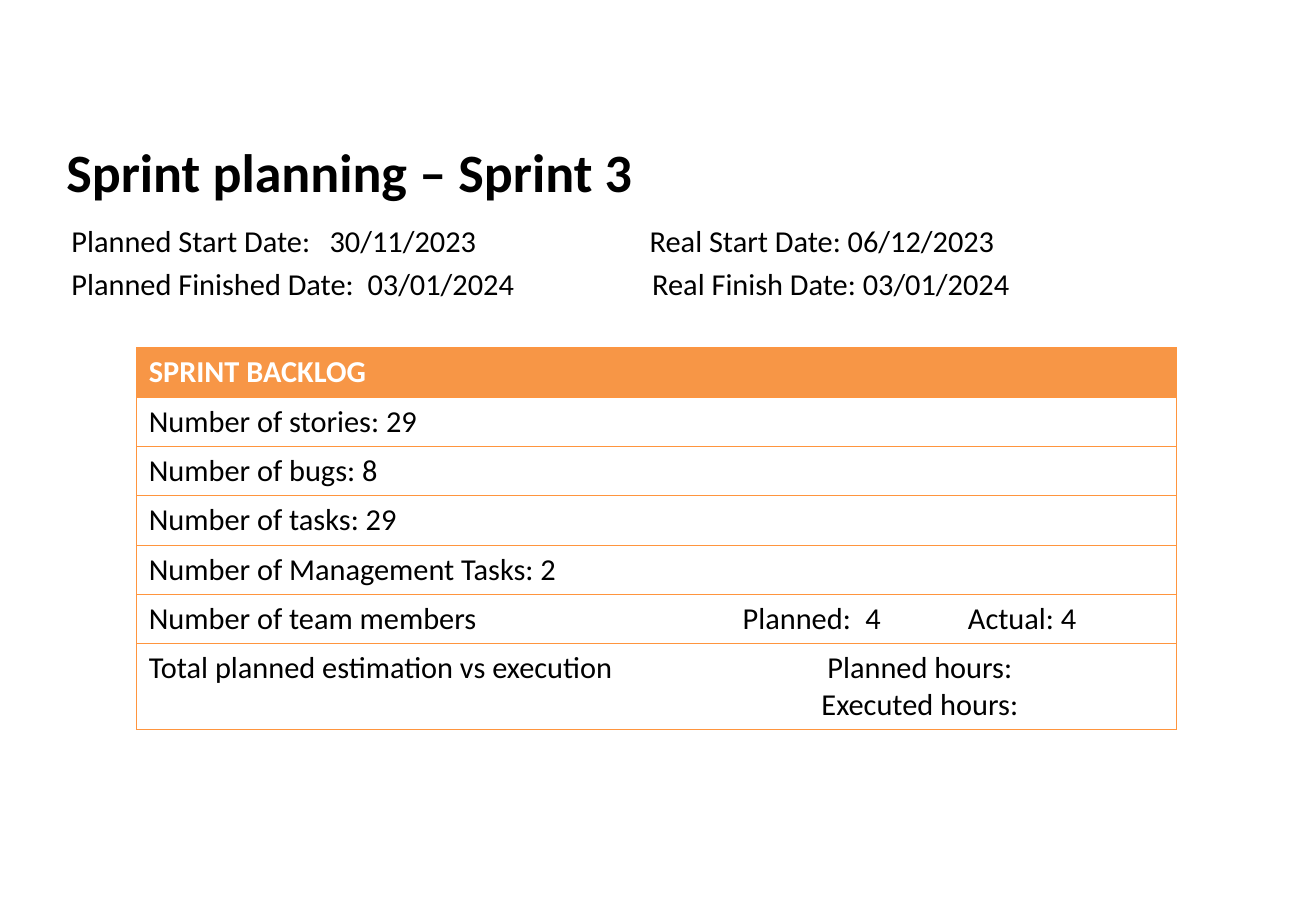
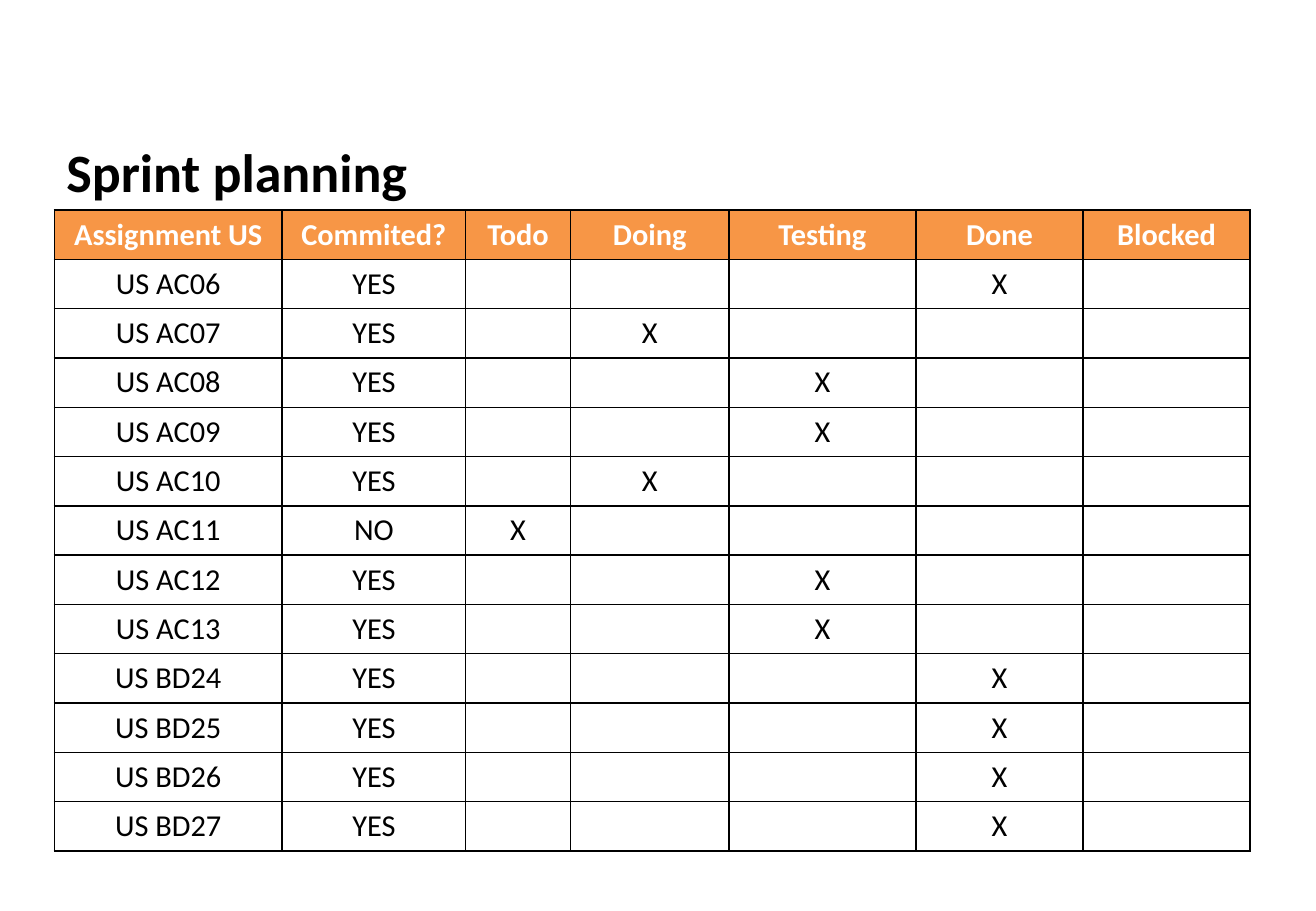
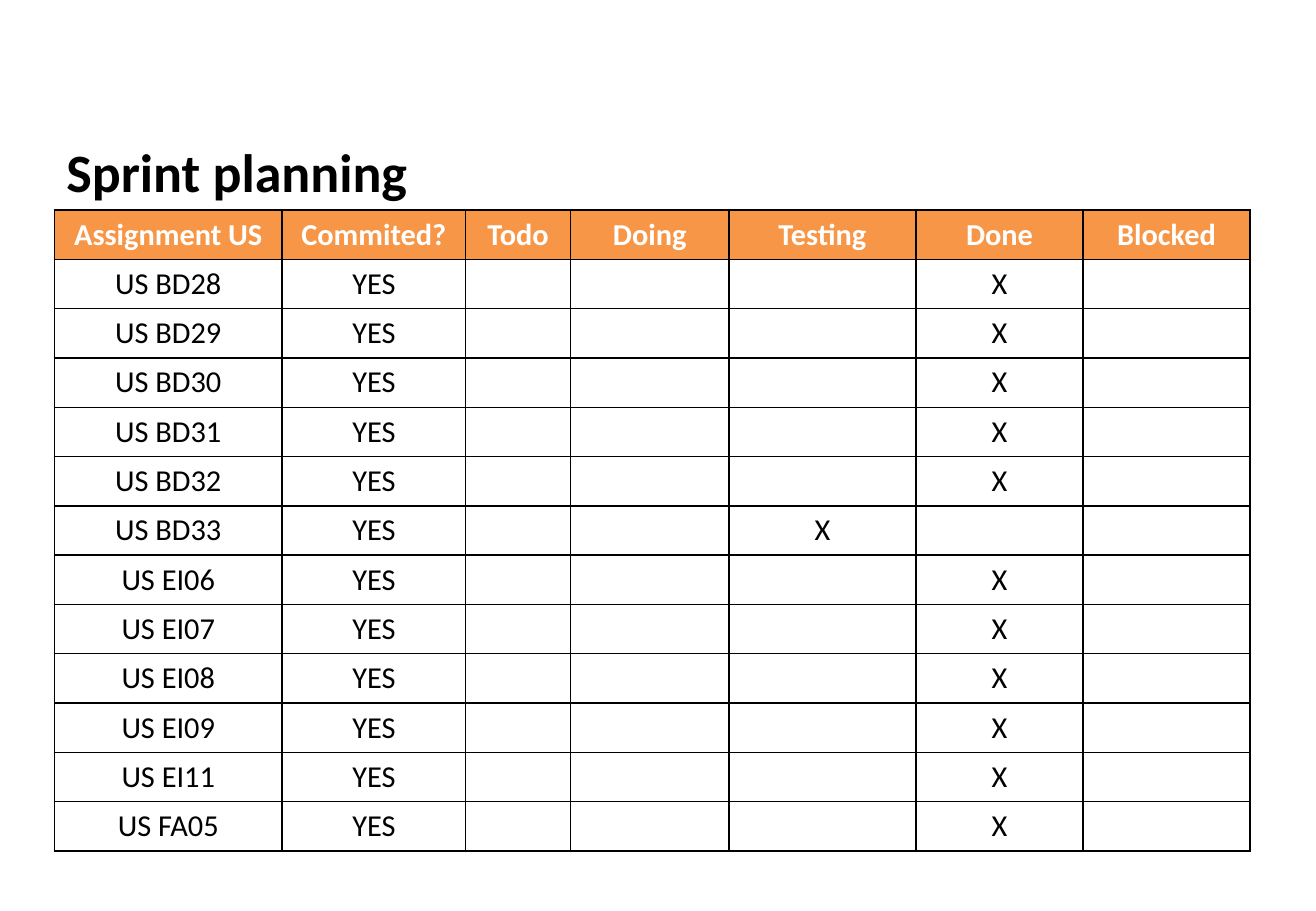
from pptx import Presentation
from pptx import util as u
from pptx.dml.color import RGBColor
from pptx.enum import text
from pptx.oxml.ns import qn
from lxml import etree

PX = 9525
FONT = "Calibri"
BLACK = RGBColor(0x00, 0x00, 0x00)
WHITE = RGBColor(0xFF, 0xFF, 0xFF)
ORANGE = RGBColor(0xF7, 0x96, 0x46)
BORDER_ORANGE = RGBColor(0xFF, 0x95, 0x3E)

BODY_SIZE = 18
ROW_HEIGHT = 39
TITLE_LEFT, TITLE_TOP, TITLE_WIDTH, TITLE_HEIGHT = 43, 105, 968, 60
BOARD_TOP = 166
BOARD_WIDTHS = [180, 145, 83, 125, 148, 132, 132]
BOARD_HEADERS = ["Assignment US", "Commited?", "Todo", "Doing", "Testing", "Done", "Blocked"]

BACKLOG_ROWS = [
    ["SPRINT BACKLOG", ""],
    ["Number of stories: 29", ""],
    ["Number of bugs: 8", ""],
    ["Number of tasks: 29", ""],
    ["Number of Management Tasks: 2", ""],
    ["Number of team members", "Planned:\t4\tActual: 4"],
    ["Total planned estimation vs execution", "Planned hours:\nExecuted hours:"],
]

FIRST_STORIES = [
    ("AC06", "YES", "Done"),
    ("AC07", "YES", "Doing"),
    ("AC08", "YES", "Testing"),
    ("AC09", "YES", "Testing"),
    ("AC10", "YES", "Doing"),
    ("AC11", "NO", "Todo"),
    ("AC12", "YES", "Testing"),
    ("AC13", "YES", "Testing"),
    ("BD24", "YES", "Done"),
    ("BD25", "YES", "Done"),
    ("BD26", "YES", "Done"),
    ("BD27", "YES", "Done"),
]

SECOND_STORIES = [
    ("BD28", "YES", "Done"),
    ("BD29", "YES", "Done"),
    ("BD30", "YES", "Done"),
    ("BD31", "YES", "Done"),
    ("BD32", "YES", "Done"),
    ("BD33", "YES", "Testing"),
    ("EI06", "YES", "Done"),
    ("EI07", "YES", "Done"),
    ("EI08", "YES", "Done"),
    ("EI09", "YES", "Done"),
    ("EI11", "YES", "Done"),
    ("FA05", "YES", "Done"),
]


def px(*lengths):
    return [u.Emu(length * PX) for length in lengths]


def add_slide(presentation):
    return presentation.slides.add_slide(presentation.slide_layouts[6])


def format_paragraphs(text_frame, size, color, bold=False, align=text.PP_ALIGN.LEFT):
    for paragraph in text_frame.paragraphs:
        paragraph.alignment = align
        for run in paragraph.runs:
            run.font.name = FONT
            run.font.size = u.Pt(size)
            run.font.bold = bold
            run.font.color.rgb = color


def set_tab_stops(paragraph, stops):
    properties = paragraph._p.get_or_add_pPr()
    tab_list = etree.SubElement(properties, qn("a:tabLst"))
    for stop in stops:
        etree.SubElement(tab_list, qn("a:tab"), pos=str(stop * PX), algn="l")


def add_text(slide, words, left, top, width, height, size, bold=False):
    shape = slide.shapes.add_textbox(*px(left, top, width, height))
    text_frame = shape.text_frame
    text_frame.word_wrap = True
    text_frame.text = words
    format_paragraphs(text_frame, size, BLACK, bold)
    return text_frame


def add_title(slide, words):
    text_frame = add_text(slide, words, TITLE_LEFT, TITLE_TOP, TITLE_WIDTH, TITLE_HEIGHT, 32, True)
    text_frame.vertical_anchor = text.MSO_ANCHOR.MIDDLE


def set_borders(cell, color, width, sides):
    properties = cell._tc.get_or_add_tcPr()
    for side in "LRTB":
        line = etree.SubElement(properties, qn("a:ln" + side), w=str(u.Pt(width)))
        if side in sides:
            fill = etree.SubElement(line, qn("a:solidFill"))
            etree.SubElement(fill, qn("a:srgbClr"), val=str(color))
        else:
            etree.SubElement(line, qn("a:noFill"))


def add_grid(slide, rows, left, top, widths, color, line_width, inner_lines, align):
    frame = slide.shapes.add_table(
        len(rows), len(widths), *px(left, top, sum(widths), ROW_HEIGHT * len(rows)))
    table = frame.table
    table.horz_banding = False
    for column, width in zip(table.columns, px(*widths)):
        column.width = width
    for row_index, row in enumerate(rows):
        table.rows[row_index].height = u.Emu(ROW_HEIGHT * PX)
        for column_index, words in enumerate(row):
            cell = table.cell(row_index, column_index)
            sides = "TB"
            if inner_lines or column_index == 0:
                sides += "L"
            if inner_lines or column_index == len(widths) - 1:
                sides += "R"
            set_borders(cell, color, line_width, sides)
            is_header = row_index == 0
            if is_header:
                cell.fill.solid()
                cell.fill.fore_color.rgb = ORANGE
            else:
                cell.fill.background()
            cell.text_frame.text = words
            format_paragraphs(
                cell.text_frame, BODY_SIZE, WHITE if is_header else BLACK, is_header, align)
    return table


def add_dates(slide):
    words = ("Planned Start Date:\t30/11/2023\tReal Start Date: 06/12/2023\n"
             "Planned Finished Date:\t03/01/2024\tReal Finish Date: 03/01/2024")
    text_frame = add_text(slide, words, 47, 171, 949, 75, BODY_SIZE)
    for paragraph, stops in zip(text_frame.paragraphs, [(204, 457), (234, 459)]):
        paragraph.space_after = u.Pt(4)
        set_tab_stops(paragraph, stops)


def add_backlog(slide):
    table = add_grid(slide, BACKLOG_ROWS, 108, 275, [416, 406],
                     BORDER_ORANGE, 0.75, False, text.PP_ALIGN.LEFT)
    table.rows[6].height = u.Emu(68 * PX)
    members = table.cell(5, 1)
    members.margin_left = u.Emu(63 * PX)
    set_tab_stops(members.text_frame.paragraphs[0], (97, 178))
    for paragraph in table.cell(6, 1).text_frame.paragraphs:
        paragraph.alignment = text.PP_ALIGN.CENTER


def add_board_slide(presentation, stories):
    slide = add_slide(presentation)
    add_title(slide, "Sprint planning")
    rows = [BOARD_HEADERS]
    for code, committed, status in stories:
        marks = ["X" if header == status else "" for header in BOARD_HEADERS[2:]]
        rows.append(["US " + code, committed] + marks)
    add_grid(slide, rows, TITLE_LEFT, BOARD_TOP, BOARD_WIDTHS,
             BLACK, 1, True, text.PP_ALIGN.CENTER)


def main():
    presentation = Presentation()
    presentation.slide_width, presentation.slide_height = px(1040, 720)
    slide = add_slide(presentation)
    add_title(slide, "Sprint planning – Sprint 3")
    add_dates(slide)
    add_backlog(slide)
    for stories in (FIRST_STORIES, SECOND_STORIES):
        add_board_slide(presentation, stories)
    presentation.save("out.pptx")


if __name__ == "__main__":
    main()
